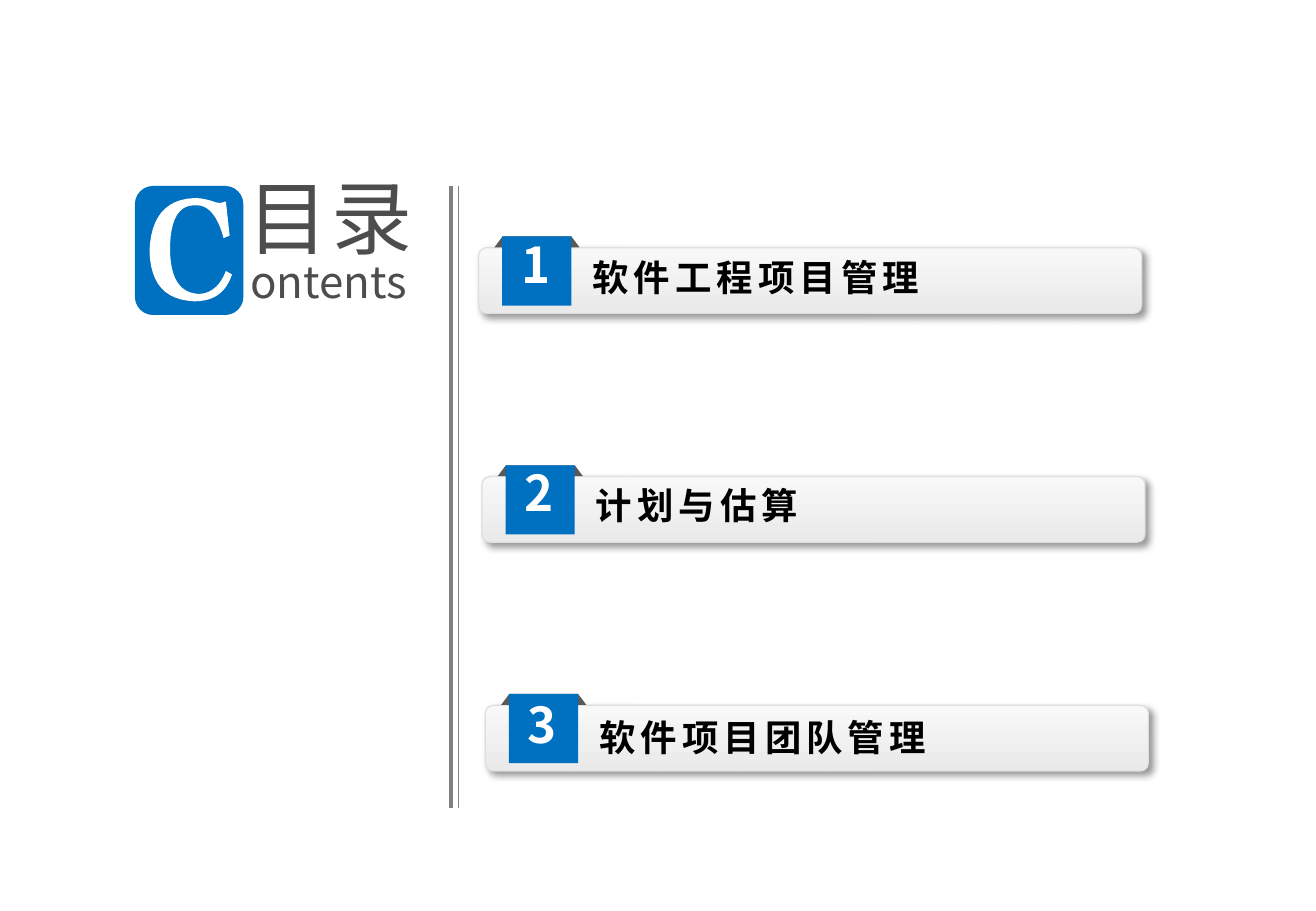
import pptx
import pptx.dml.color
import pptx.enum.dml
import pptx.enum.shapes
import pptx.enum.text
import pptx.oxml
import pptx.oxml.ns
import pptx.util

Pt = pptx.util.Pt
SHAPES = pptx.enum.shapes.MSO_SHAPE
COLORS = {
    "blue": "0070C0", "white": "FFFFFF", "black": "000000", "title": "4D4D4D",
    "rule": "808080", "fold": "595959", "bar_top": "F8F8F8",
    "bar_bottom": "EAEAEA", "bar_edge": "DFDFE1",
}
FONT = "Noto Sans CJK SC"

# Each entry: heading and vertical text offset from the bar top
ENTRIES = [("软件工程项目管理", 1.4), ("计划与估算", 0.7), ("软件项目团队管理", 2.9)]
BAR_LEFT, BAR_TOP = 283.7, 146.9
STEP_X, STEP_Y = 2, 135.6

# Serif initial: two numbers are a line end, six are a Bézier segment
INITIAL_START = (136.1, 139.7)
INITIAL_SEGMENTS = [
    (133.9, 119.5), (133.2, 119.5),
    (131.8, 120.2, 131, 120.2, 130.3, 120.2),
    (129.6, 120.2, 128.2, 120.2, 126.7, 119.5),
    (122.4, 118.1, 118.8, 117.4, 115.2, 117.4),
    (97.9, 118.1, 89.3, 128.9, 88.6, 149),
    (89.3, 168.5, 97.9, 177.8, 115.2, 178.6),
    (126.7, 178.6, 133.9, 173.5, 137.5, 162.7),
    (133.9, 160.6),
    (130.3, 169.9, 124.6, 174.2, 117.4, 174.2),
    (106.6, 173.5, 100.8, 164.9, 100.8, 147.6),
    (100.8, 130.3, 105.8, 121.7, 115.2, 121.7),
    (123.1, 121, 128.9, 127.4, 132.5, 141.1),
]


def color(name):
    return pptx.dml.color.RGBColor.from_string(COLORS[name])


def outline_points(start, segments, steps=12):
    points = [start]
    for segment in segments:
        if len(segment) == 2:
            points.append(segment)
            continue
        x0, y0 = points[-1]
        x1, y1, x2, y2, x3, y3 = segment
        for step in range(1, steps + 1):
            t = step / steps
            a, b, c, d = (1 - t) ** 3, 3 * t * (1 - t) ** 2, 3 * t * t * (1 - t), t ** 3
            points.append((a * x0 + b * x1 + c * x2 + d * x3,
                           a * y0 + b * y1 + c * y2 + d * y3))
    return points


class ContentsPage:
    def __init__(self, deck):
        self.page = deck.slides.add_slide(deck.slide_layouts[5])
        self.shapes = self.page.shapes

    def start_group(self):
        self.shapes = self.page.shapes.add_group_shape().shapes

    def paint(self, shape, fill):
        shape.shadow.inherit = False
        shape.fill.solid()
        shape.fill.fore_color.rgb = color(fill)
        shape.line.fill.background()

    def block(self, kind, left, top, width, height, fill, adjust=None):
        shape = self.shapes.add_shape(kind, Pt(left), Pt(top), Pt(width), Pt(height))
        self.paint(shape, fill)
        if adjust is not None:
            shape.adjustments[0] = adjust
        return shape

    def bar(self, left, top, width, height):
        shape = self.block(SHAPES.ROUNDED_RECTANGLE, left, top, width, height,
                           "bar_top", 0.12)
        shape.fill.gradient()
        shape.fill.gradient_angle = 270
        for stop, position, name in zip(shape.fill.gradient_stops, (0, 1),
                                        ("bar_top", "bar_bottom")):
            stop.position = position
            stop.color.rgb = color(name)
        shape.line.color.rgb = color("bar_edge")
        shape.line.width = Pt(0)
        # Soft shadow to the lower right
        effects = shape._element.spPr.find(pptx.oxml.ns.qn("a:effectLst"))
        effects.append(pptx.oxml.parse_xml(
            f'<a:outerShdw {pptx.oxml.ns.nsdecls("a")} blurRad="{Pt(4)}" '
            f'dist="{Pt(3)}" dir="2700000" algn="tl" rotWithShape="0">'
            f'<a:srgbClr val="{COLORS["black"]}"><a:alpha val="40000"/></a:srgbClr>'
            '</a:outerShdw>'))

    def outline(self, points, fill):
        (x, y), *rest = points
        builder = self.shapes.build_freeform(Pt(x), Pt(y))
        builder.add_line_segments([(Pt(x), Pt(y)) for x, y in rest], close=True)
        self.paint(builder.convert_to_shape(), fill)

    def rule(self, x, top, bottom, weight):
        line = self.shapes.add_connector(pptx.enum.shapes.MSO_CONNECTOR.STRAIGHT,
                                         Pt(x), Pt(top), Pt(x), Pt(bottom))
        line.line.color.rgb = color("rule")
        line.line.width = Pt(weight)
        line._element.spPr.append(pptx.oxml.parse_xml(
            f'<a:effectLst {pptx.oxml.ns.nsdecls("a")}/>'))

    def set_text(self, box, text, size, fill, bold=False, spacing=0, inset=(0, 0)):
        frame = box.text_frame
        frame.word_wrap = True
        frame.auto_size = pptx.enum.text.MSO_AUTO_SIZE.NONE
        frame.vertical_anchor = pptx.enum.text.MSO_ANCHOR.TOP
        frame.margin_left = frame.margin_right = Pt(inset[0])
        frame.margin_top = frame.margin_bottom = Pt(inset[1])
        para = frame.paragraphs[0]
        para.alignment = pptx.enum.text.PP_ALIGN.LEFT
        span = para.add_run()
        span.text = text
        span.font.name = FONT
        span.font.size = Pt(size)
        span.font.bold = bold
        span.font.color.rgb = color(fill)
        properties = span._r.get_or_add_rPr()
        properties.set("spc", str(spacing * 100))
        properties.find(pptx.oxml.ns.qn("a:latin")).addnext(pptx.oxml.parse_xml(
            f'<a:ea {pptx.oxml.ns.nsdecls("a")} typeface="{FONT}"/>'))

    def text(self, left, top, width, height, text, size, fill, **style):
        box = self.shapes.add_textbox(Pt(left), Pt(top), Pt(width), Pt(height))
        self.set_text(box, text, size, fill, **style)

    def title(self, left, top, width, height, text, size, fill, **style):
        box = self.page.shapes.title
        box.left, box.top, box.width, box.height = map(Pt, (left, top, width, height))
        self.set_text(box, text, size, fill, **style)

    def entry(self, number, heading, left, top, nudge):
        self.start_group()
        self.bar(left, top, 393, 38.9)
        # Folded tab with its number
        self.block(SHAPES.TRAPEZOID, left + 9.4, top - 6.7, 50.4, 6.4, "fold", 0.75)
        self.block(SHAPES.RECTANGLE, left + 14, top - 6.7, 41, 41, "blue")
        self.text(left + 61.6, top + nudge, 320, 38, heading, 21.6, "black",
                  bold=True, spacing=3, inset=(5.8, 2.9))
        self.text(left + 19.4, top + nudge - 12.1, 30.2, 50, str(number), 29.2,
                  "white", bold=True, inset=(5.8, 2.9))


def main():
    deck = pptx.Presentation()
    deck.slide_width, deck.slide_height = Pt(780), Pt(540)
    page = ContentsPage(deck)

    # Title with its blue initial
    page.title(146.6, 99, 112, 70, "目录", 48, "title", spacing=2)
    page.block(SHAPES.ROUNDED_RECTANGLE, 80, 110.2, 64.3, 76.5, "blue")
    page.outline(outline_points(INITIAL_START, INITIAL_SEGMENTS), "white")
    page.text(148.4, 150.8, 105, 38, "ontents", 26, "title")

    # Double vertical rule
    for x, weight in ((267.5, 2.4), (271.8, 0.8)):
        page.rule(x, 110.2, 478.8, weight)

    # Contents entries
    for index, (heading, nudge) in enumerate(ENTRIES):
        page.entry(index + 1, heading, BAR_LEFT + index * STEP_X,
                   BAR_TOP + index * STEP_Y, nudge)

    deck.save("out.pptx")


if __name__ == "__main__":
    main()
